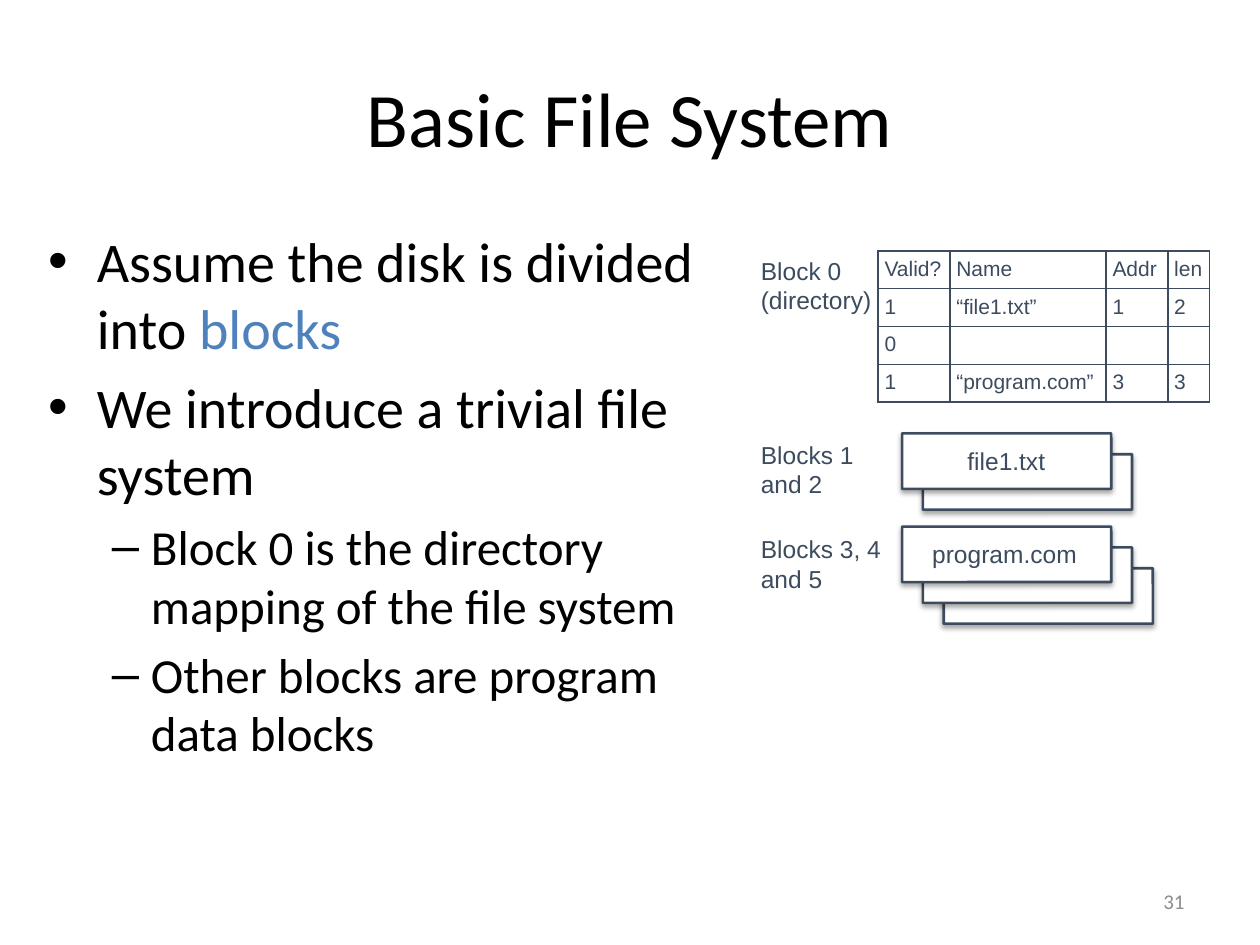
from dataclasses import dataclass

from lxml.etree import SubElement
from pptx import Presentation
from pptx.dml.color import RGBColor
from pptx.enum.shapes import MSO_SHAPE
from pptx.enum.text import MSO_ANCHOR, PP_ALIGN
from pptx.oxml import parse_xml
from pptx.oxml.ns import qn
from pptx.util import Inches, Pt


@dataclass(frozen=True)
class Theme:
    ink: str = "000000"
    slate: str = "3C4B5E"
    blue: str = "4F81BD"
    gray: str = "8C8C8C"
    white: str = "FFFFFF"
    head: str = "Calibri"
    sans: str = "Arial"
    title: int = 44
    body: int = 32
    sub: int = 28
    label: int = 14
    small: int = 12


theme = Theme()
NS = 'xmlns:a="http://schemas.openxmlformats.org/drawingml/2006/main"'
SHADOW = (f'<a:effectLst {NS}><a:outerShdw blurRad="{Pt(3.1)}" dist="{Pt(1.8)}" '
          'dir="5400000" rotWithShape="0"><a:srgbClr val="000000">'
          '<a:alpha val="35000"/></a:srgbClr></a:outerShdw></a:effectLst>')


def write(para, text, size, face, color):
    run = para.add_run()
    run.text = text
    run.font.size = Pt(size)
    run.font.name = face
    run.font.color.rgb = RGBColor.from_string(color)


def add_box(left, top, width, height, wrap=True):
    frame = slide.shapes.add_textbox(
        Inches(left), Inches(top), Inches(width), Inches(height)).text_frame
    frame.word_wrap = wrap
    return frame


deck = Presentation()
deck.slide_width, deck.slide_height = Inches(10), Inches(7.5)
slide = deck.slides.add_slide(deck.slide_layouts[5])

# Title
title = slide.shapes.title
title.left, title.top = Inches(0.5), Inches(0.3)
title.width, title.height = Inches(9), Inches(1.25)
title.text_frame.vertical_anchor = MSO_ANCHOR.MIDDLE
para = title.text_frame.paragraphs[0]
para.alignment = PP_ALIGN.CENTER
write(para, "Basic File System", theme.title, theme.head, theme.ink)

# Bullets: level, then runs of text and colour
points = [
    (0, [("Assume the disk is divided into ", theme.ink), ("blocks", theme.blue)]),
    (0, [("We introduce a trivial file system", theme.ink)]),
    (1, [("Block 0 is the directory mapping of the file system", theme.ink)]),
    (1, [("Other blocks are program data blocks", theme.ink)]),
]
levels = [(theme.body, 0.38, 0.38, "•"), (theme.sub, 0.81, 0.31, "–")]
frame = add_box(0.29, 1.75, 5.47, 4.95)
for i, (level, runs) in enumerate(points):
    para = frame.add_paragraph() if i else frame.paragraphs[0]
    size, margin, hang, mark = levels[level]
    para.level = level
    para.space_before = Pt(size * 0.2)
    props = para._p.get_or_add_pPr()
    props.set("marL", str(Inches(margin)))
    props.set("indent", str(-Inches(hang)))
    SubElement(props, qn("a:buFont"), typeface=theme.sans)
    SubElement(props, qn("a:buChar"), char=mark)
    for text, color in runs:
        write(para, text, size, theme.head, color)

# Directory table
rows = [
    ("Valid?", "Name", "Addr", "len"),
    ("1", "“file1.txt”", "1", "2"),
    ("0", "", "", ""),
    ("1", "“program.com”", "3", "3"),
]
widths = [0.57, 1.24, 0.49, 0.33]
pitch = 0.29
table = slide.shapes.add_table(
    len(rows), len(widths), Inches(6.97), Inches(1.99),
    Inches(sum(widths)), Inches(pitch * len(rows))).table
table.first_row = table.horz_banding = False
for col, width in zip(table.columns, widths):
    col.width = Inches(width)
for r, row in enumerate(rows):
    table.rows[r].height = Inches(pitch)
    for c, text in enumerate(row):
        cell = table.cell(r, c)
        cell.margin_left = cell.margin_right = Inches(0.05)
        cell.margin_top = cell.margin_bottom = Inches(0.05)
        para = cell.text_frame.paragraphs[0]
        if text:
            write(para, text, theme.small, theme.sans, theme.slate)
        else:
            SubElement(para._p, qn("a:endParaRPr"), sz=str(theme.small * 100))
        props = cell._tc.get_or_add_tcPr()
        for side in ("lnL", "lnR", "lnT", "lnB"):
            props.append(parse_xml(
                f'<a:{side} {NS} w="{Pt(1)}"><a:solidFill>'
                f'<a:srgbClr val="{theme.slate}"/></a:solidFill></a:{side}>'))
        cell.fill.background()

# Stacks of blocks, drawn from the back card to the front
step = 0.165
stacks = [(3.44, 2, "file1.txt", 7.58, 0.83), (4.18, 3, "program.com", 7.3, 1.41)]
for top, count, name, left, width in stacks:
    for n in reversed(range(count)):
        card = slide.shapes.add_shape(
            MSO_SHAPE.ROUNDED_RECTANGLE, Inches(7.16 + n * step),
            Inches(top + n * step), Inches(1.66), Inches(0.44))
        card.adjustments[0] = 0.001
        card.fill.solid()
        card.fill.fore_color.rgb = RGBColor.from_string(theme.white)
        card.line.color.rgb = RGBColor.from_string(theme.slate)
        card.line.width = Pt(1.5)
        card._element.spPr.append(parse_xml(SHADOW))
    frame = add_box(left, top + 0.05, width, 0.34, wrap=False)
    write(frame.paragraphs[0], name, theme.label, theme.sans, theme.slate)

# Block labels
labels = [(1.98, "Block 0 (directory)"), (3.44, "Blocks 1 and 2"),
          (4.19, "Blocks 3, 4 and 5")]
for top, text in labels:
    frame = add_box(5.94, top, 1.21, 0.57)
    write(frame.paragraphs[0], text, theme.label, theme.sans, theme.slate)

# Page number
frame = add_box(7.17, 6.95, 2.33, 0.4)
frame.vertical_anchor = MSO_ANCHOR.MIDDLE
para = frame.paragraphs[0]
para.alignment = PP_ALIGN.RIGHT
write(para, "31", theme.small, theme.head, theme.gray)

deck.save("out.pptx")
